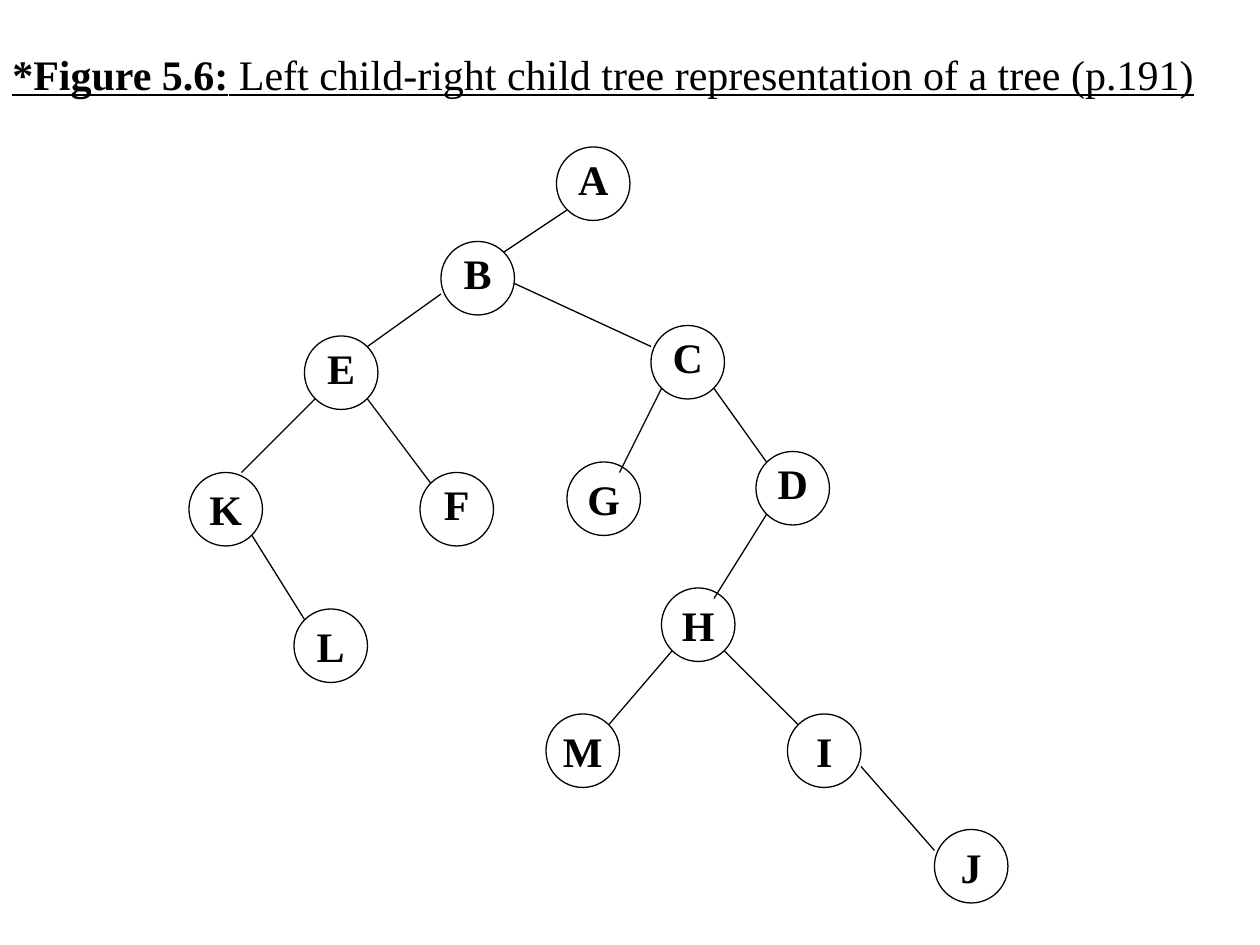
from dataclasses import dataclass

from lxml.etree import SubElement
from pptx import Presentation
from pptx.dml.color import RGBColor
from pptx.enum.shapes import MSO_CONNECTOR as Connector, MSO_SHAPE as Shape
from pptx.enum.text import MSO_ANCHOR as Anchor, PP_ALIGN as Align
from pptx.oxml.ns import qn
from pptx.util import Pt


@dataclass(frozen=True)
class Theme:
    ink: RGBColor = RGBColor(0, 0, 0)
    font: str = "Times New Roman"
    size: int = 24
    line: float = 0.75


THEME = Theme()
GRID = 6  # points per grid step
DIAMETER = 7 * GRID
LABEL_HEIGHT = 36

# Left and top of each node, in grid steps
NODES = {
    "A": (53, 14), "B": (42, 23), "E": (29, 32), "C": (62, 31), "D": (72, 43),
    "K": (18, 45), "F": (40, 45), "G": (54, 44), "H": (63, 56), "L": (28, 58),
    "M": (52, 68), "I": (75, 68), "J": (89, 79),
}

# Parent end and child end of each branch, in grid steps
BRANCHES = [
    ((54, 20), (48, 24)),  # A-B
    ((42, 28), (35, 33)),  # B-E
    ((30, 38), (23, 45)),  # E-K
    ((24, 51), (29, 59)),  # K-L
    ((35, 38), (41, 46)),  # E-F
    ((49, 27), (62, 33)),  # B-C
    ((63, 37), (59, 45)),  # C-G
    ((68, 37), (73, 44)),  # C-D
    ((73, 49), (68, 57)),  # D-H
    ((64, 62), (58, 69)),  # H-M
    ((69, 62), (76, 69)),  # H-I
    ((82, 73), (89, 81)),  # I-J
]

# Labels in their own text boxes, with their drop below the node's top in points
LABEL_DROPS = {"A": 0, "B": 0, "C": 0, "D": 0, "E": 0, "F": 0, "G": 3, "K": 3}


def add_run(paragraph, text, bold=False, underline=False):
    run = paragraph.add_run()
    run.text = text
    font = run.font
    font.name, font.size = THEME.font, Pt(THEME.size)
    font.bold, font.underline = bold, underline
    font.color.rgb = THEME.ink


def style_line(line):
    line.color.rgb = THEME.ink
    line.width = Pt(THEME.line)


def add_node(slide, left, top):
    node = slide.shapes.add_shape(
        Shape.OVAL, Pt(left), Pt(top), Pt(DIAMETER), Pt(DIAMETER))
    node.shadow.inherit = False
    node.fill.background()
    style_line(node.line)
    return node


def write_letter(frame, letter):
    frame.word_wrap = False
    paragraph = frame.paragraphs[0]
    paragraph.alignment = Align.CENTER
    add_run(paragraph, letter, bold=True)


def add_label(slide, letter, left, top):
    label = slide.shapes.add_textbox(
        Pt(left), Pt(top), Pt(DIAMETER), Pt(LABEL_HEIGHT))
    write_letter(label.text_frame, letter)


def add_branch(slide, start, end):
    ends = [Pt(step * GRID) for step in (*start, *end)]
    branch = slide.shapes.add_connector(Connector.STRAIGHT, *ends)
    style_line(branch.line)
    SubElement(branch._element.spPr, qn("a:effectLst"))


def add_title(slide):
    title = slide.shapes.add_textbox(Pt(0), Pt(24), Pt(690), Pt(LABEL_HEIGHT))
    title.text_frame.word_wrap = False
    paragraph = title.text_frame.paragraphs[0]
    add_run(paragraph, "*Figure 5.6:", bold=True, underline=True)
    add_run(paragraph,
            " Left child-right child tree representation of a tree (p.191)",
            underline=True)


def main():
    deck = Presentation()
    deck.slide_width, deck.slide_height = Pt(720), Pt(540)
    slide = deck.slides.add_slide(deck.slide_layouts[6])

    # Nodes, some holding their own letter
    for letter, (column, row) in NODES.items():
        node = add_node(slide, column * GRID, row * GRID)
        if letter not in LABEL_DROPS:
            node.text_frame.vertical_anchor = Anchor.MIDDLE
            write_letter(node.text_frame, letter)

    # Branches
    for start, end in BRANCHES:
        add_branch(slide, start, end)

    # Separate labels
    for letter, drop in LABEL_DROPS.items():
        column, row = NODES[letter]
        add_label(slide, letter, column * GRID, row * GRID + drop)

    add_title(slide)
    deck.save("out.pptx")


if __name__ == "__main__":
    main()
